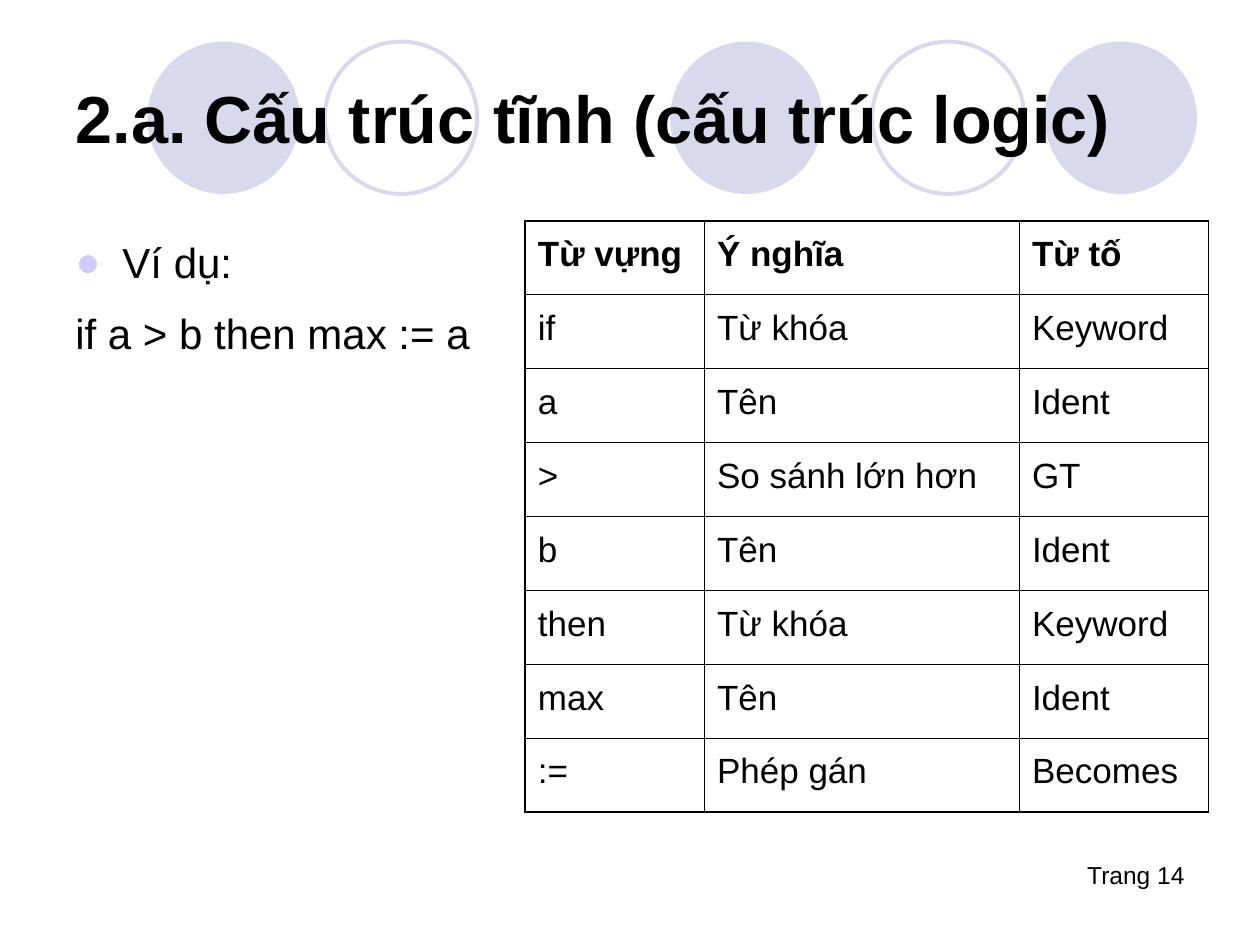
from lxml.etree import SubElement
from pptx import Presentation
from pptx.dml.color import RGBColor
from pptx.enum.shapes import MSO_SHAPE
from pptx.enum.text import MSO_ANCHOR, PP_ALIGN
from pptx.oxml.ns import qn
from pptx.util import Cm, Pt

COLORS = {"text": "000000", "ring": "D9D8EC", "dot": "CCCCFF"}


def write(para, text, size, bold=False, **form):
    for key, val in form.items():
        setattr(para, key, val)
    run = para.add_run()
    run.text = text
    look = {"name": "Arial", "size": Pt(size), "bold": bold}
    for key, val in look.items():
        setattr(run.font, key, val)
    run.font.color.rgb = RGBColor.from_string(COLORS["text"])


def edge(cell, side, width):
    line = SubElement(cell._tc.get_or_add_tcPr(), qn(f"a:ln{side}"), w=str(Pt(width)))
    fill = SubElement(line, qn("a:solidFill"))
    SubElement(fill, qn("a:srgbClr"), val=COLORS["text"])


deck = Presentation()
deck.slide_width, deck.slide_height = Cm(25.4), Cm(19.05)
slide = deck.slides.add_slide(deck.slide_layouts[5])
shapes = slide.shapes

# Row of circles behind the title
ring = RGBColor.from_string(COLORS["ring"])
for left, solid in [(2.97, True), (6.55, False), (13.51, True),
                    (17.58, False), (21.06, True)]:
    disc = shapes.add_shape(MSO_SHAPE.OVAL, Cm(left), Cm(0.84), Cm(3.07), Cm(3.07))
    disc.shadow.inherit = False
    if solid:
        disc.fill.solid()
        disc.fill.fore_color.rgb = ring
        disc.line.fill.background()
    else:
        disc.fill.background()
        disc.line.color.rgb = ring
        disc.line.width = Pt(2.25)

# Title, brought in front of the circles
title = shapes.title
title.element.getparent().append(title.element)
place = {"left": Cm(1.27), "top": Cm(0.76), "width": Cm(22.86), "height": Cm(3.18)}
for key, val in place.items():
    setattr(title, key, val)
title.text_frame.vertical_anchor = MSO_ANCHOR.MIDDLE
write(title.text_frame.paragraphs[0], "2.a. Cấu trúc tĩnh (cấu trúc logic)", 38,
      bold=True, alignment=PP_ALIGN.LEFT)

# Example text with a bullet on the first line
body = shapes.add_textbox(Cm(1.27), Cm(4.45), Cm(11.23), Cm(12.57)).text_frame
body.word_wrap = True
head, code = body.paragraphs[0], body.add_paragraph()
for para in (head, code):
    props = para._p.get_or_add_pPr()
    props.set("marL", str(Cm(0.95)))
    props.set("indent", str(Cm(-0.95)))
props = head._p.get_or_add_pPr()
SubElement(SubElement(props, qn("a:buClr")), qn("a:srgbClr"), val=COLORS["dot"])
SubElement(props, qn("a:buFont"), typeface="Arial")
SubElement(props, qn("a:buChar"), char="●")
write(head, "Ví dụ:", 24, line_spacing=1.2)
write(code, "if a > b then max := a", 24, line_spacing=1.2, space_before=Pt(6))

# Token table
rows = [
    ("Từ vựng", "Ý nghĩa", "Từ tố"),
    ("if", "Từ khóa", "Keyword"),
    ("a", "Tên", "Ident"),
    (">", "So sánh lớn hơn", "GT"),
    ("b", "Tên", "Ident"),
    ("then", "Từ khóa", "Keyword"),
    ("max", "Tên", "Ident"),
    (":=", "Phép gán", "Becomes"),
]
wide = [3.61, 6.35, 3.81]
tall = 1.49
table = shapes.add_table(len(rows), len(wide), Cm(10.59), Cm(4.45),
                         Cm(sum(wide)), Cm(tall * len(rows))).table
table.first_row = table.horz_banding = False
for col, width in zip(table.columns, wide):
    col.width = Cm(width)
for r, row in enumerate(rows):
    table.rows[r].height = Cm(tall)
    for c, text in enumerate(row):
        cell = table.cell(r, c)
        outer = {"L": c == 0, "R": c == len(wide) - 1,
                 "T": r == 0, "B": r == len(rows) - 1}
        for side, rim in outer.items():
            edge(cell, side, 1.08 if rim else 0.45)
        cell.fill.background()
        write(cell.text_frame.paragraphs[0], text, 20, bold=r == 0, line_spacing=1.2)

# Page number
foot = shapes.add_textbox(Cm(18.21), Cm(17.22), Cm(5.92), Cm(1.27)).text_frame
foot.word_wrap = True
write(foot.paragraphs[0], "Trang 14", 14, alignment=PP_ALIGN.RIGHT)

deck.save("out.pptx")
